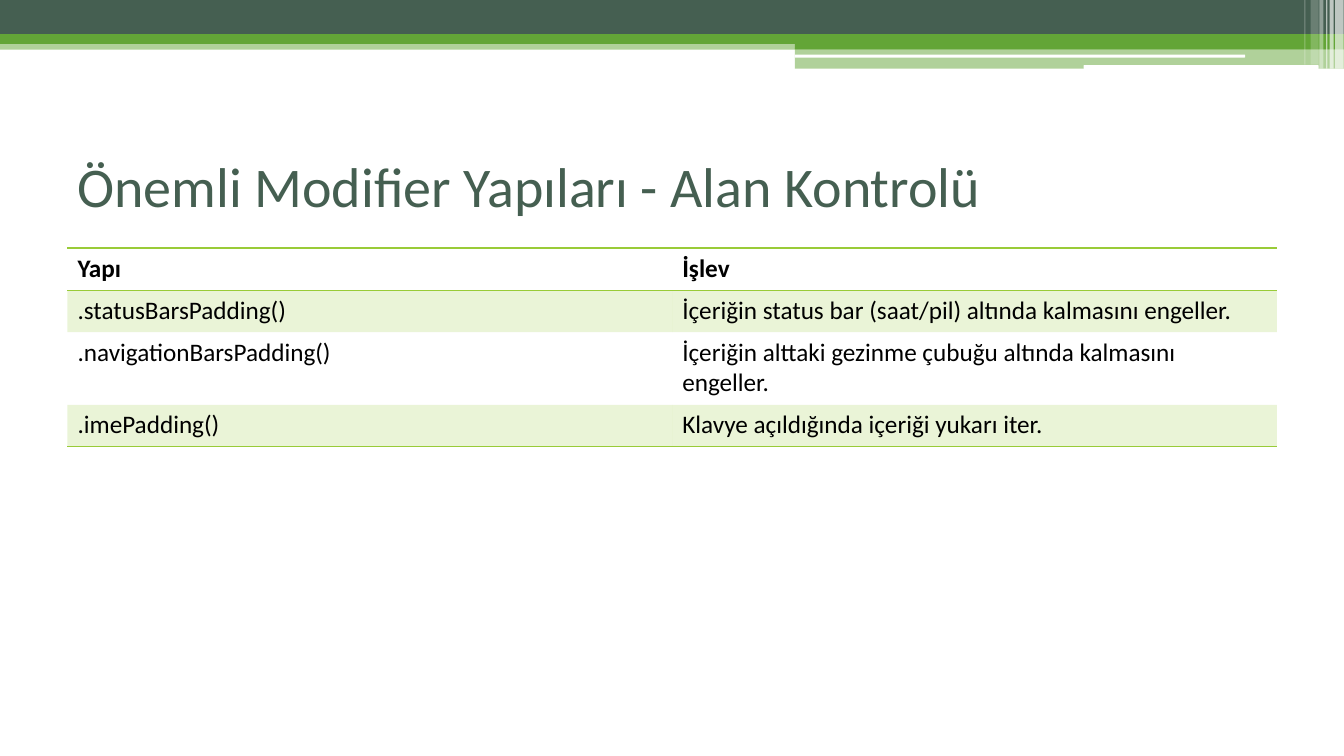
from lxml.etree import SubElement
from pptx import Presentation
from pptx.dml.color import RGBColor
from pptx.enum.shapes import MSO_SHAPE
from pptx.enum.text import MSO_ANCHOR
from pptx.oxml.ns import qn
from pptx.util import Cm, Pt

COLORS = {
    "pine": "455F51",
    "green": "63A537",
    "lime": "99CB38",
    "white": "FFFFFF",
    "black": "000000",
}
FONT = "Calibri"
WIDTH = 33.87
SPLIT = 20.03

BANDS = [
    (0, 1.02, WIDTH, 0.23, "green", 50),
    (0, 0, WIDTH, 0.86, "pine", 100),
    (0, 0.86, WIDTH, 0.25, "green", 100),
    (SPLIT, 0.99, WIDTH - SPLIT, 0.25, "green", 100),
    (SPLIT, 1.22, WIDTH - SPLIT, 0.51, "green", 50),
]
GAPS = [
    (SPLIT, 1.38, 11.35, 0.07, "white", 100),
    (27.31, 1.64, 5.92, 0.1, "white", 100),
]
GLINTS = [
    (33.65, 0.21, 1.73, 65),
    (33.51, 0.1, 1.73, 65),
    (33.42, 0.03, 1.73, 60),
    (33.25, 0.1, 1.73, 40),
    (33.03, 0.2, 1.63, 20),
    (32.87, 0.03, 1.63, 30),
]
ROWS = [
    ("Yapı", "İşlev"),
    (".statusBarsPadding()", "İçeriğin status bar (saat/pil) altında kalmasını engeller."),
    (".navigationBarsPadding()", "İçeriğin alttaki gezinme çubuğu altında kalmasını engeller."),
    (".imePadding()", "Klavye açıldığında içeriği yukarı iter."),
]
RULED_EDGES = {0, 1, len(ROWS)}


def color(name):
    return RGBColor.from_string(COLORS[name])


def paint(fill, properties, name, opacity):
    fill.solid()
    fill.fore_color.rgb = color(name)
    if opacity < 100:
        tint = properties.find(qn("a:solidFill"))[0]
        SubElement(tint, qn("a:alpha"), val=str(opacity * 1000))


def add_band(page, left, top, width, height, name, opacity, kind=MSO_SHAPE.RECTANGLE):
    band = page.shapes.add_shape(kind, Cm(left), Cm(top), Cm(width), Cm(height))
    band.shadow.inherit = False
    band.line.fill.background()
    paint(band.fill, band.element.spPr, name, opacity)


def write(frame, text, size=18, name="black", bold=False):
    para = frame.paragraphs[0]
    span = para.add_run()
    span.text = text
    span.font.name = FONT
    span.font.size = Pt(size)
    span.font.bold = bold
    span.font.color.rgb = color(name)


def add_title(page, text):
    box = page.shapes.add_textbox(Cm(1.7), Cm(3.18), Cm(30.48), Cm(2.97))
    box.text_frame.word_wrap = True
    box.text_frame.vertical_anchor = MSO_ANCHOR.MIDDLE
    write(box.text_frame, text, size=40, name="pine")


def add_border(properties, side, ruled):
    line = SubElement(properties, qn(f"a:ln{side}"), w=str(Pt(1)))
    if ruled:
        fill = SubElement(line, qn("a:solidFill"))
        SubElement(fill, qn("a:srgbClr"), val=COLORS["lime"])
    else:
        SubElement(line, qn("a:noFill"))


def format_cell(cell, index):
    properties = cell._tc.get_or_add_tcPr()
    ruled = {"L": False, "R": False, "T": index in RULED_EDGES, "B": index + 1 in RULED_EDGES}
    for side, has_rule in ruled.items():
        add_border(properties, side, has_rule)
    if index % 2:
        paint(cell.fill, properties, "lime", 20)
    else:
        cell.fill.background()


def add_function_table(page, rows):
    row_height = Cm(1.06)
    frame = page.shapes.add_table(
        len(rows), len(rows[0]), Cm(1.7), Cm(6.25), Cm(30.48), row_height * len(rows)
    )
    table = frame.table
    table.first_row = False
    table.horz_banding = False
    for index, texts in enumerate(rows):
        table.rows[index].height = row_height
        for column, text in enumerate(texts):
            cell = table.cell(index, column)
            format_cell(cell, index)
            write(cell.text_frame, text, bold=index == 0)
    table.rows[2].height = Cm(1.83)


def main():
    deck = Presentation()
    deck.slide_width = Cm(WIDTH)
    deck.slide_height = Cm(19.05)
    page = deck.slides.add_slide(deck.slide_layouts[6])
    for band in BANDS:
        add_band(page, *band)
    for gap in GAPS:
        add_band(page, *gap, kind=MSO_SHAPE.ROUNDED_RECTANGLE)
    for left, width, height, opacity in GLINTS:
        add_band(page, left, 0, width, height, "white", opacity)
    add_title(page, "Önemli Modifier Yapıları - Alan Kontrolü")
    add_function_table(page, ROWS)
    deck.save("out.pptx")


if __name__ == "__main__":
    main()
